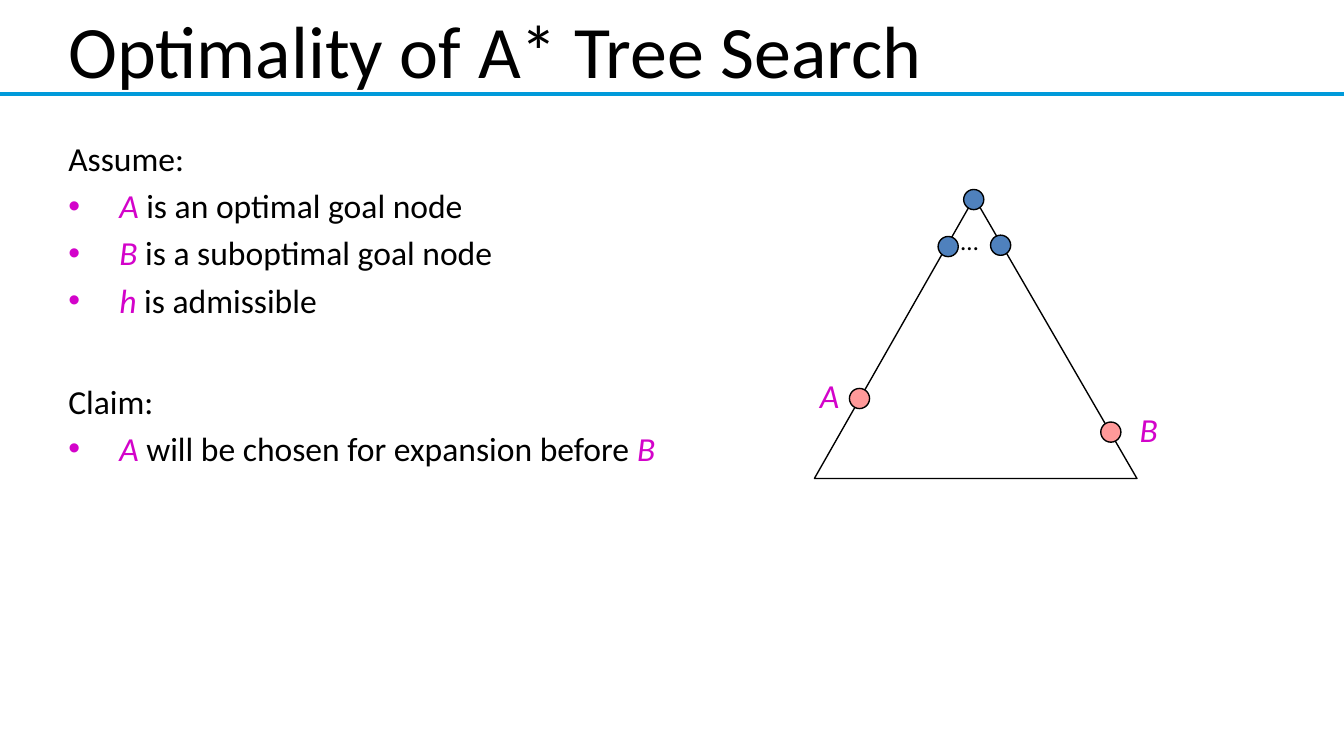
from dataclasses import dataclass

from lxml import etree
from pptx import Presentation
from pptx.dml.color import RGBColor
from pptx.enum.shapes import MSO_CONNECTOR, MSO_SHAPE
from pptx.enum.text import MSO_ANCHOR
from pptx.oxml.ns import qn
from pptx.util import Inches, Pt

STRAIGHT = MSO_CONNECTOR.STRAIGHT
ELLIPSE = MSO_SHAPE.OVAL
TOP, MIDDLE = MSO_ANCHOR.TOP, MSO_ANCHOR.MIDDLE


@dataclass(frozen=True)
class Theme:
    font: str = "Calibri"
    ink: str = "000000"
    symbol: str = "D303CA"
    rule: str = "009ADA"
    node: str = "4F81BD"
    goal: str = "FF9999"
    title: float = 39.6
    body: float = 18
    dots: float = 13.5
    rule_width: float = 2
    outline: float = 0.75
    line_gap: float = 3.6
    section_gap: float = 32.5


def apply_format(target, values):
    for name, value in values.items():
        setattr(target, name, value)


class SlideBuilder:
    def __init__(self, page, theme):
        self.page = page
        self.theme = theme

    def outline(self, shape, color, width):
        shape.line.color.rgb = RGBColor.from_string(color)
        shape.line.width = Pt(width)

    def rule(self, left, right, top):
        line = self.page.shapes.add_connector(
            STRAIGHT, Inches(left), Inches(top), Inches(right), Inches(top))
        self.outline(line, self.theme.rule, self.theme.rule_width)
        etree.SubElement(line._element.spPr, qn("a:effectLst"))

    def triangle(self, corners):
        points = [(Inches(x), Inches(y)) for x, y in corners]
        builder = self.page.shapes.build_freeform(*points[0])
        builder.add_line_segments(points[1:], close=True)
        shape = builder.convert_to_shape()
        shape.shadow.inherit = False
        shape.fill.background()
        self.outline(shape, self.theme.ink, self.theme.outline)

    def node(self, left, top, color, size=0.15):
        shape = self.page.shapes.add_shape(
            ELLIPSE, Inches(left), Inches(top), Inches(size), Inches(size))
        shape.shadow.inherit = False
        shape.fill.solid()
        shape.fill.fore_color.rgb = RGBColor.from_string(color)
        self.outline(shape, self.theme.ink, self.theme.outline)

    def box(self, left, top, width, height, **values):
        box = self.page.shapes.add_textbox(
            Inches(left), Inches(top), Inches(width), Inches(height))
        frame = box.text_frame
        apply_format(frame, {"word_wrap": True, "vertical_anchor": TOP, **values})
        return frame

    def span(self, para, text, size, is_symbol=False):
        span = para.add_run()
        span.text = text
        apply_format(span.font, {
            "name": self.theme.font, "size": Pt(size), "italic": is_symbol})
        color = self.theme.symbol if is_symbol else self.theme.ink
        span.font.color.rgb = RGBColor.from_string(color)

    def title(self, text):
        frame = self.box(0.41, 0.11, 9, 0.51, vertical_anchor=MIDDLE)
        self.span(frame.paragraphs[0], text, self.theme.title)

    def label(self, text, left, top, width, height, size, is_symbol=False):
        frame = self.box(
            left, top, width, height, word_wrap=not is_symbol,
            margin_left=Inches(0.07), margin_right=Inches(0.07),
            margin_top=Inches(0.04), margin_bottom=Inches(0.04))
        self.span(frame.paragraphs[0], text, size, is_symbol)

    def bullet(self, para):
        properties = para._p.get_or_add_pPr()
        properties.set("marL", str(Inches(0.38)))
        properties.set("indent", str(-Inches(0.38)))
        color = etree.SubElement(properties, qn("a:buClr"))
        etree.SubElement(color, qn("a:srgbClr"), val=self.theme.symbol)
        etree.SubElement(properties, qn("a:buFont"), typeface="Arial")
        etree.SubElement(properties, qn("a:buChar"), char="•")

    def sections(self, sections):
        frame = self.box(0.41, 0.98, 9, 3.79)
        para = frame.paragraphs[0]
        for index, (heading, items) in enumerate(sections):
            if index:
                para = frame.add_paragraph()
                para.space_before = Pt(self.theme.section_gap)
            self.span(para, heading, self.theme.body)
            for item in items:
                para = frame.add_paragraph()
                self.bullet(para)
                para.space_before = Pt(self.theme.line_gap)
                for position, text in enumerate(item):
                    self.span(para, text, self.theme.body, position % 2 == 0)


SECTIONS = [
    ("Assume:", [
        ("A", " is an optimal goal node"),
        ("B", " is a suboptimal goal node"),
        ("h", " is admissible"),
    ]),
    ("Claim:", [("A", " will be chosen for expansion before ", "B")]),
]
TREE = [(6.06, 3.56), (8.46, 3.56), (7.25, 1.47)]
INNER_NODES = [(6.98, 1.76), (7.37, 1.75), (7.17, 1.41)]
GOAL_NODES = [(8.19, 3.14), (6.32, 2.89)]
GOAL_LABELS = [("A", 6.03, 2.75, 0.3), ("B", 8.41, 3, 0.29)]


def main():
    theme = Theme()
    deck = Presentation()
    width = Inches(10)
    apply_format(deck, {"slide_width": width, "slide_height": width * 9 // 16})
    page = deck.slides.add_slide(deck.slide_layouts[6])
    builder = SlideBuilder(page, theme)

    builder.rule(0, 10, 0.7)
    builder.title("Optimality of A* Tree Search")
    builder.sections(SECTIONS)
    builder.triangle(TREE)
    for nodes, color in ((INNER_NODES, theme.node), (GOAL_NODES, theme.goal)):
        for left, top in nodes:
            builder.node(left, top, color)
    builder.label("…", 7.08, 1.64, 0.23, 0.3, theme.dots)
    for text, left, top, label_width in GOAL_LABELS:
        builder.label(text, left, top, label_width, 0.38, theme.body, is_symbol=True)

    deck.save("out.pptx")


if __name__ == "__main__":
    main()
